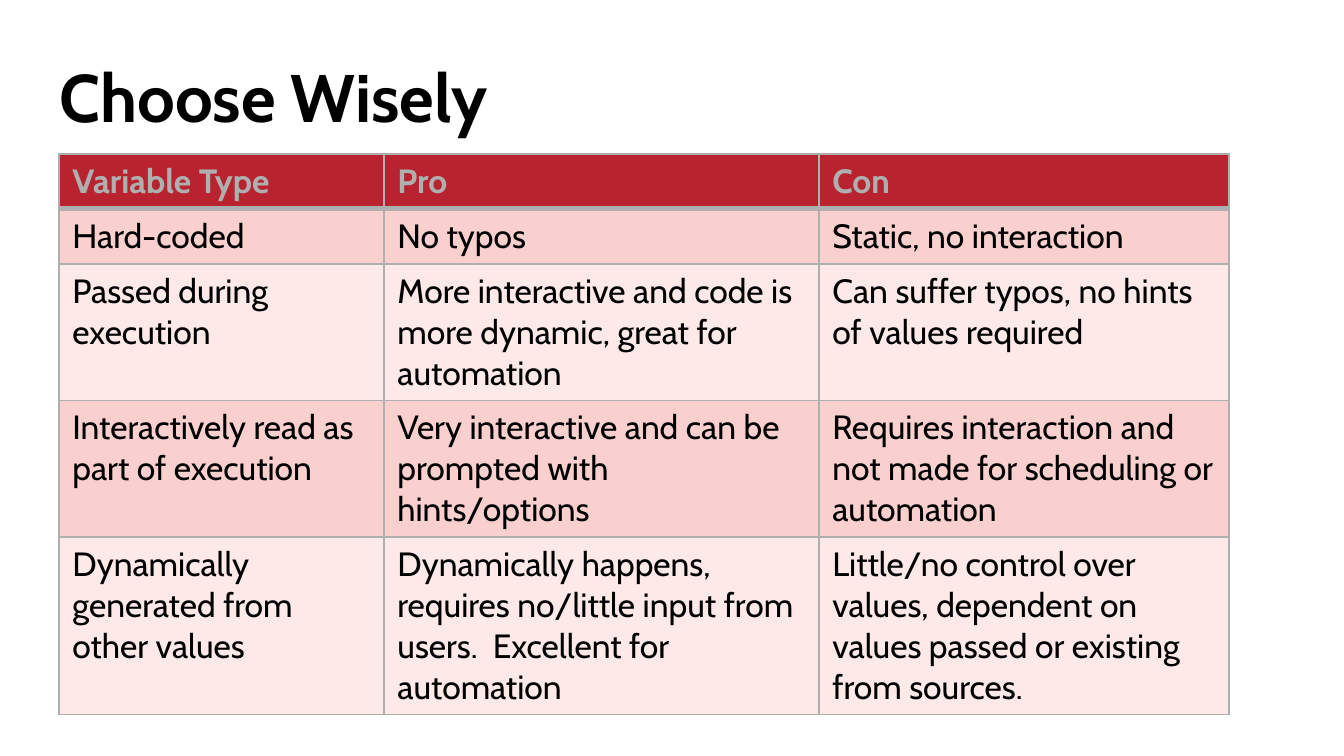
from lxml.etree import SubElement
from pptx import Presentation
from pptx.dml.color import RGBColor as RGB
from pptx.enum.text import MSO_ANCHOR as ANCHOR, PP_ALIGN as ALIGN
from pptx.oxml import parse_xml
from pptx.oxml.ns import nsdecls, qn
from pptx.util import Pt

PX = 914400 / 134.4
FONT = "Cabin"
COLORS = {
    "text": "000000",
    "header": "B8232F",
    "grey": "AFAFAF",
    "odd": "F9D0CE",
    "even": "FCE9E8",
}
COL_WIDTHS = [325, 435, 410]
ROW_HEIGHT = 55
ROWS = [
    ["Variable Type", "Pro", "Con"],
    ["Hard-coded", "No typos", "Static, no interaction"],
    ["Passed during execution",
     "More interactive and code is more dynamic, great for automation",
     "Can suffer typos, no hints of values required"],
    ["Interactively read as part of execution",
     "Very interactive and can be prompted with hints/options",
     "Requires interaction and not made for scheduling or automation"],
    ["Dynamically generated from other values",
     "Dynamically happens, requires no/little input from users.  Excellent for automation",
     "Little/no control over values, dependent on values passed or existing from sources."],
]


def px(n):
    return round(n * PX)


def color(name):
    return RGB.from_string(COLORS[name])


def add_run(p, text, size, color_name, bold):
    r = p.add_run()
    r.text = text
    r.font.name = FONT
    r.font.size = Pt(size)
    r.font.bold = bold
    r.font.color.rgb = color(color_name)


def set_borders(cell, widths):
    tcPr = cell._tc.get_or_add_tcPr()
    for i, (side, width) in enumerate(widths.items()):
        ln = parse_xml(f'<a:ln{side} {nsdecls("a")} w="{Pt(width)}"/>')
        fill = SubElement(ln, qn("a:solidFill"))
        SubElement(fill, qn("a:srgbClr"), val=COLORS["grey"])
        tcPr.insert(i, ln)


def place_title(s, box, text):
    sp = s.shapes.title
    sp.left, sp.top, sp.width, sp.height = map(px, box)
    tf = sp.text_frame
    tf.word_wrap = True
    tf.vertical_anchor = ANCHOR.TOP
    p = tf.paragraphs[0]
    p.alignment = ALIGN.LEFT
    p.line_spacing = Pt(35)
    add_run(p, text, 36, "text", True)


def place_table(s, box, rows):
    frame = s.shapes.add_table(len(rows), len(COL_WIDTHS), *map(px, box))
    table = frame.table
    table.horz_banding = False
    for col, width in zip(table.columns, COL_WIDTHS):
        col.width = px(width)
    for i, texts in enumerate(rows):
        table.rows[i].height = px(ROW_HEIGHT)
        header = i == 0
        fill = "header" if header else "odd" if i % 2 else "even"
        for j, text in enumerate(texts):
            cell = table.cell(i, j)
            cell.fill.solid()
            cell.fill.fore_color.rgb = color(fill)
            set_borders(cell, {"L": 1, "R": 1,
                               "T": 3 if i == 1 else 1,
                               "B": 3 if header else 1})
            add_run(cell.text_frame.paragraphs[0], text, 18,
                    "grey" if header else "text", header)
    frame.height = px(box[3])


def main():
    prs = Presentation()
    prs.slide_width, prs.slide_height = px(1344), px(756)
    s = prs.slides.add_slide(prs.slide_layouts[5])
    place_title(s, (46, 64, 1239, 90), "Choose Wisely")
    place_table(s, (59, 154, sum(COL_WIDTHS), 553), ROWS)
    prs.save("out.pptx")


if __name__ == "__main__":
    main()
